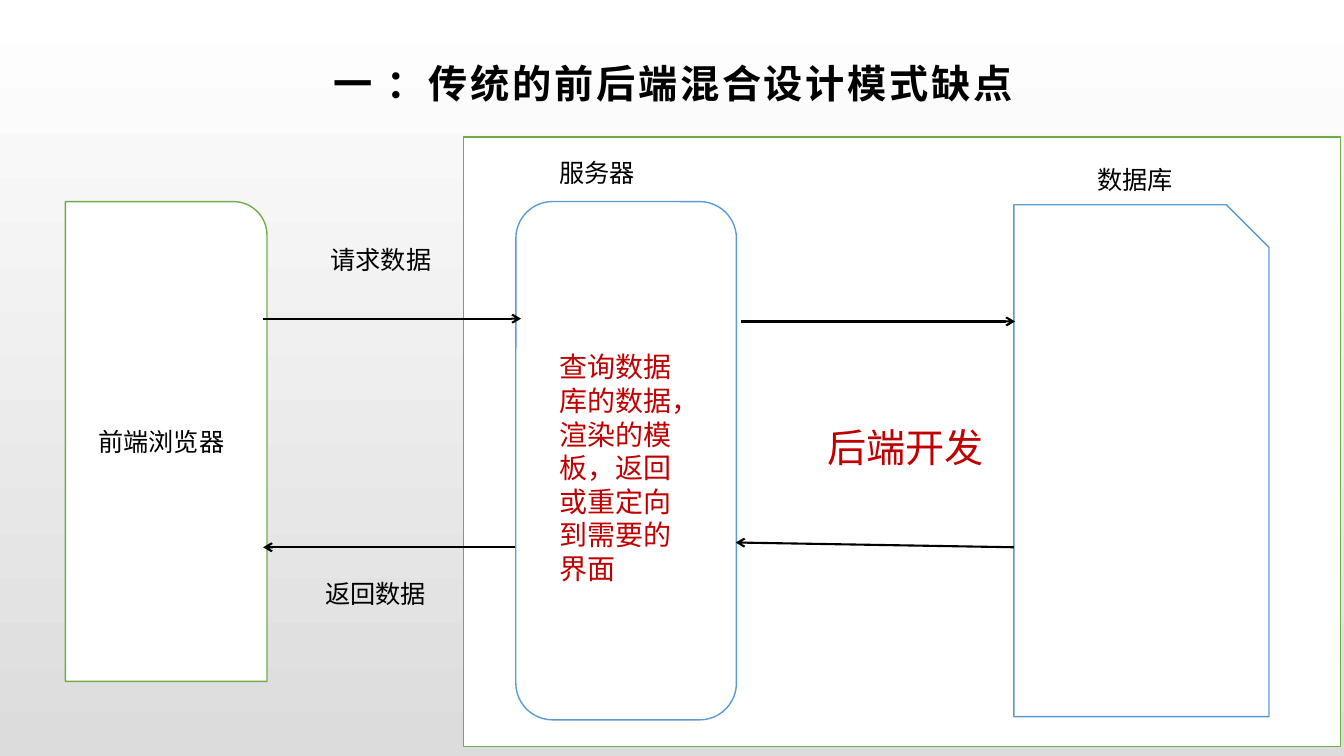
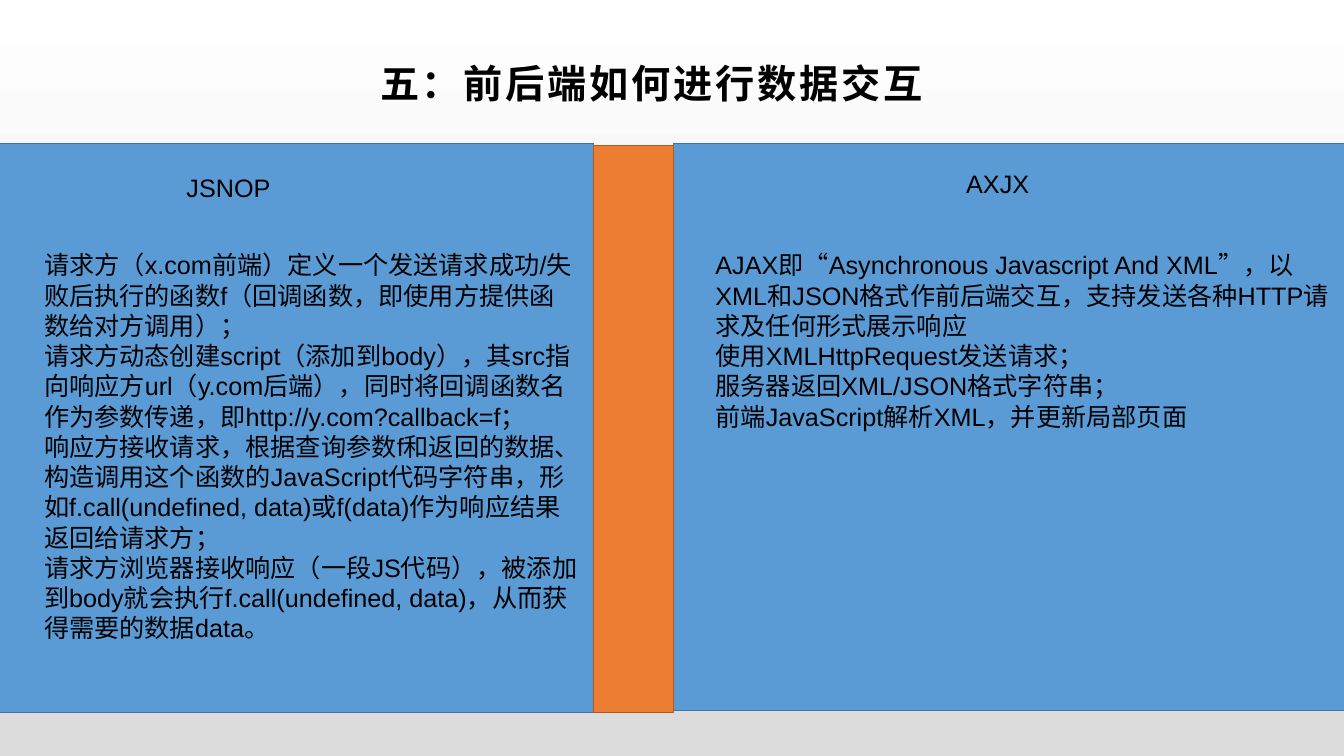
from lxml.etree import SubElement
from pptx import Presentation
from pptx.dml.color import RGBColor
from pptx.enum.shapes import MSO_CONNECTOR, MSO_SHAPE
from pptx.enum.text import MSO_ANCHOR, MSO_AUTO_SIZE, PP_ALIGN
from pptx.oxml.ns import qn
from pptx.util import Cm, Pt

BLACK = RGBColor(0x00, 0x00, 0x00)
WHITE = RGBColor(0xFF, 0xFF, 0xFF)
GREY = RGBColor(0xDC, 0xDC, 0xDC)
RED = RGBColor(0xC0, 0x00, 0x00)
GREEN = RGBColor(0x70, 0xAD, 0x47)
BLUE = RGBColor(0x5B, 0x9B, 0xD5)
DARK_BLUE = RGBColor(0x43, 0x73, 0x9E)
ORANGE = RGBColor(0xED, 0x7D, 0x31)
DARK_ORANGE = RGBColor(0xAF, 0x5C, 0x24)
FONT = "Arial"
LABEL_HEIGHT = 1.02


def add_box(slide, kind, box, fill, outline):
    """Add a filled, outlined shape; box is left, top, width, height in cm."""
    shape = slide.shapes.add_shape(kind, *map(Cm, box))
    shape.shadow.inherit = False
    shape.fill.solid()
    shape.fill.fore_color.rgb = fill
    shape.line.color.rgb = outline
    shape.line.width = Pt(1)
    return shape


def add_text(slide, box, text, size=18, color=BLACK):
    """Add a wrapping text box with one paragraph for each line of text."""
    frame = slide.shapes.add_textbox(*map(Cm, box)).text_frame
    frame.word_wrap = True
    frame.auto_size = MSO_AUTO_SIZE.SHAPE_TO_FIT_TEXT
    frame.text = text
    for paragraph in frame.paragraphs:
        paragraph.font.name = FONT
        paragraph.font.size = Pt(size)
        paragraph.font.color.rgb = color


presentation = Presentation()
presentation.slide_width = Cm(33.87)
presentation.slide_height = Cm(19.05)

# Shared background and title position
background = presentation.slide_master.background.fill
background.gradient()
background.gradient_angle = 270
for stop, color in zip(background.gradient_stops, (WHITE, GREY)):
    stop.color.rgb = color

layout = presentation.slide_layouts[5]
layout_title = layout.placeholders[0]
layout_title.left, layout_title.top = Cm(1.85), Cm(1.19)
layout_title.width, layout_title.height = Cm(30.15), Cm(1.8)

# Slides with their titles; the right margin shifts the centred text
slides = []
for text, margin_right in (
    ("一 ：传统的前后端混合设计模式缺点", 0.2),
    ("五：前后端如何进行数据交互", 1.3),
):
    slide = presentation.slides.add_slide(layout)
    slides.append(slide)
    frame = slide.shapes.title.text_frame
    frame.text = text
    frame.auto_size = MSO_AUTO_SIZE.NONE
    frame.vertical_anchor = MSO_ANCHOR.MIDDLE
    frame.margin_left, frame.margin_right = Cm(0.28), Cm(margin_right)
    frame.margin_top = frame.margin_bottom = Cm(0.1)
    paragraph = frame.paragraphs[0]
    paragraph.alignment = PP_ALIGN.CENTER
    paragraph.font.name = FONT
    paragraph.font.size = Pt(28)
    paragraph.font.bold = True
    paragraph.font.color.rgb = BLACK
    for properties in paragraph._p.iter(qn("a:defRPr")):
        properties.set("spc", "200")
design_slide, exchange_slide = slides

# Slide 1: browser, server and database
browser = add_box(design_slide, MSO_SHAPE.ROUND_1_RECTANGLE,
                  (1.65, 5.08, 5.08, 12.09), WHITE, GREEN)
browser.text_frame.text = "前端浏览器"
browser.text_frame.vertical_anchor = MSO_ANCHOR.MIDDLE
paragraph = browser.text_frame.paragraphs[0]
paragraph.alignment = PP_ALIGN.CENTER
paragraph.font.name = FONT
paragraph.font.size = Pt(18)
paragraph.font.color.rgb = BLACK

for kind, box, outline in (
    (MSO_SHAPE.RECTANGLE, (11.68, 3.45, 22.1, 15.37), GREEN),
    (MSO_SHAPE.ROUNDED_RECTANGLE, (13, 5.08, 5.56, 13.06), BLUE),
    (MSO_SHAPE.SNIP_1_RECTANGLE, (25.55, 5.16, 6.43, 12.9), BLUE),
):
    add_box(design_slide, kind, box, WHITE, outline)

for ends in (
    (6.63, 8.03, 13.13, 8.03),
    (12.98, 13.79, 6.63, 13.79),
    (18.67, 8.1, 25.58, 8.1),
    (25.55, 13.79, 18.54, 13.67),
):
    arrow = design_slide.shapes.add_connector(
        MSO_CONNECTOR.STRAIGHT, *map(Cm, ends))
    arrow.line.color.rgb = BLACK
    arrow.line.width = Pt(1.5)
    outline = arrow.line._get_or_add_ln()
    SubElement(outline, qn("a:tailEnd"), type="arrow")
    SubElement(arrow._element.spPr, qn("a:effectLst"))

for left, top, width, text in (
    (8.08, 6.02, 3.94, "请求数据"),
    (7.95, 14.45, 3.76, "返回数据"),
    (13.84, 3.84, 4.27, "服务器"),
    (27.41, 4.01, 3.45, "数据库"),
):
    add_text(design_slide, (left, top, width, LABEL_HEIGHT), text)

add_text(design_slide, (20.6, 10.54, 4.98, 1.45), "后端开发", 28, RED)
add_text(design_slide, (13.84, 8.69, 3.84, 6.25),
         "查询数据库的数据，渲染的模板，返回\n或重定向到需要的界面", 20, RED)

# Slide 2: two ways of exchanging data, side by side
for box, fill, outline in (
    ((-0.1, 3.61, 15.06, 14.35), BLUE, DARK_BLUE),
    ((16.97, 3.61, 16.94, 14.3), BLUE, DARK_BLUE),
    ((14.96, 3.66, 2.01, 14.3), ORANGE, DARK_ORANGE),
):
    add_box(exchange_slide, MSO_SHAPE.RECTANGLE, box, fill, outline)

JSONP_STEPS = (
    "请求方（x.com前端）定义一个发送请求成功/失败后执行的函数f"
    "（回调函数，即使用方提供函数给对方调用）；\n"
    "请求方动态创建script（添加到body），其src指向响应方url"
    "（y.com后端），同时将回调函数名作为参数传递，"
    "即http://y.com?callback=f；\n"
    "响应方接收请求，根据查询参数f和返回的数据、构造调用这个函数的"
    "JavaScript代码字符串，形如f.call(undefined, data)或f(data)"
    "作为响应结果返回给请求方；\n"
    "请求方浏览器接收响应（一段JS代码），被添加到body就会执行"
    "f.call(undefined, data)，从而获得需要的数据data。"
)
AJAX_STEPS = (
    "AJAX即“Asynchronous Javascript And XML”，以XML和JSON格式作"
    "前后端交互，支持发送各种HTTP请求及任何形式展示响应\n"
    "使用XMLHttpRequest发送请求；\n"
    "服务器返回XML/JSON格式字符串；\n"
    "前端JavaScript解析XML，并更新局部页面"
)
for box, text in (
    ((4.45, 4.22, 7.04, LABEL_HEIGHT), "JSNOP"),
    ((0.86, 6.17, 14, 11.79), JSONP_STEPS),
    ((24.1, 4.11, 5.28, LABEL_HEIGHT), "AXJX"),
    ((17.78, 6.17, 16.13, 5.64), AJAX_STEPS),
):
    add_text(exchange_slide, box, text)

presentation.save("out.pptx")
